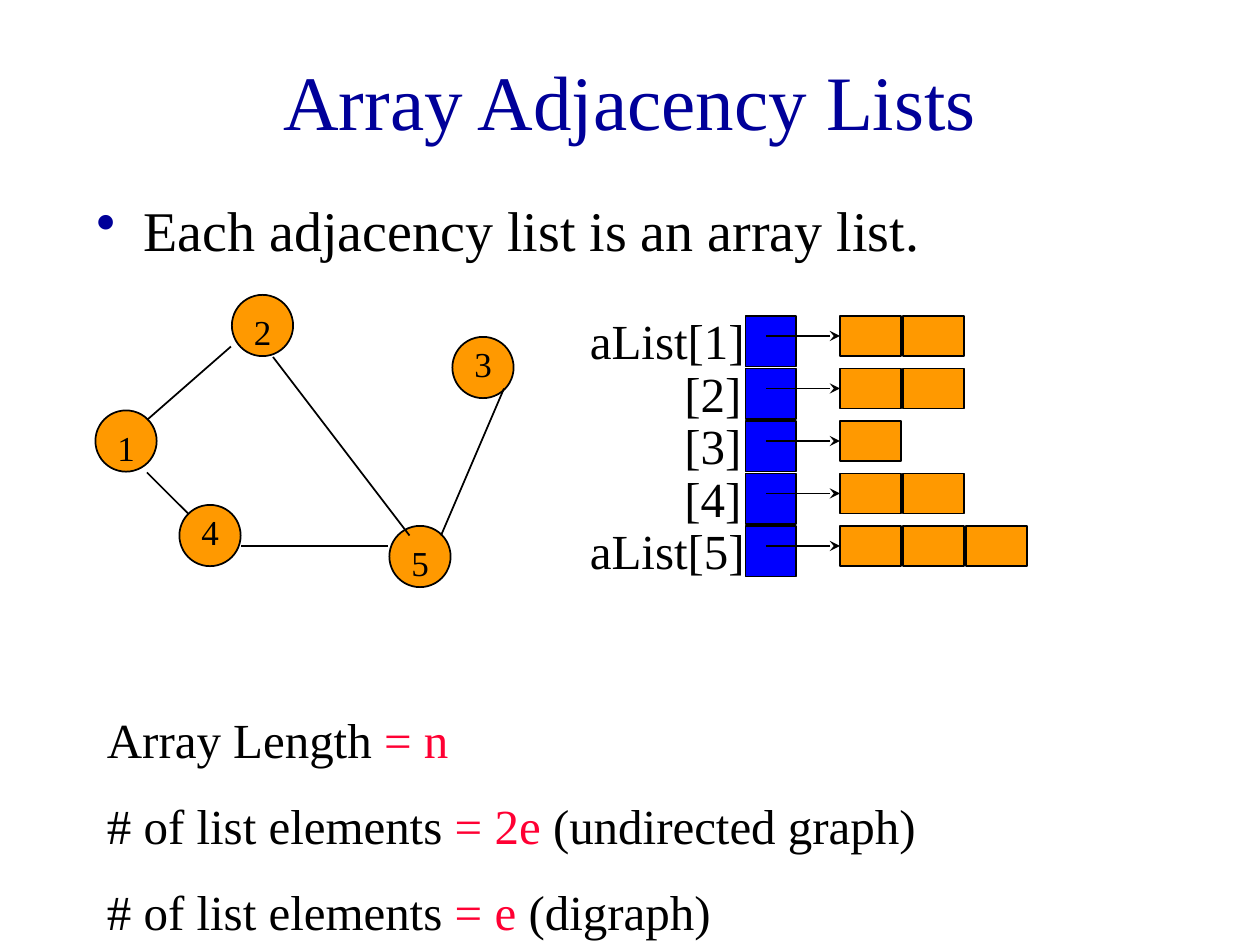
"""Build the slide on array adjacency lists: a graph, its lists and their sizes."""
from dataclasses import dataclass

from lxml import etree
from pptx import Presentation
from pptx import util as u
from pptx.dml.color import RGBColor
from pptx.enum import shapes, text
from pptx.oxml import ns

FONT = "Times New Roman"
BLACK, NAVY, RED = "000000", "000099", "FF0033"
ORANGE, BLUE = "FF9900", "0000FF"
NODE_SIZE, SLOT_SIZE = 35, 29
CELL_WIDTH, CELL_HEIGHT, CELL_PITCH = 35, 23, 36
ROW_TOP, ROW_PITCH = 180.5, 30
SLOT_LEFT, ARROW_LEFT, LIST_LEFT = 426, 438, 480


@dataclass
class Node:
    name: str
    left: float
    top: float
    label_left: float
    label_top: float


@dataclass
class Edge:
    x1: float
    y1: float
    x2: float
    y2: float


@dataclass
class Row:
    label: str
    left: float
    width: float
    cells: int


NODES = [
    Node("1", 54.5, 234.5, 60, 240),
    Node("2", 132.5, 168.5, 138, 174),
    Node("3", 258.5, 192.5, 264, 192),
    Node("4", 102.5, 288.5, 108, 288),
    Node("5", 222.5, 300.5, 228, 306),
]
EDGES = [
    Edge(132, 198, 84, 240),
    Edge(156, 204, 234, 306),
    Edge(84, 270, 108, 294),
    Edge(288, 222, 252, 306),
    Edge(138, 312, 222, 312),
]
ROWS = [
    Row("aList[1]", 330, 108, 2),
    Row("[2]", 384, 48, 2),
    Row("[3]", 384, 48, 1),
    Row("[4]", 384, 48, 2),
    Row("aList[5]", 330, 108, 3),
]
SUMMARY = [
    [("Array Length", BLACK), (" = n", RED)],
    [("# of list elements", BLACK), (" = 2e ", RED), ("(undirected graph)", BLACK)],
    [("# of list elements", BLACK), (" = e ", RED), ("(digraph)", BLACK)],
]


def colour(value: str) -> RGBColor:
    """Turn a hex string into a colour."""
    return RGBColor.from_string(value)


def add_bullet(para, indent: float, bullet_colour: str) -> None:
    """Give a paragraph a coloured bullet with a hanging indent."""
    props = para._p.get_or_add_pPr()
    props.set("marL", str(u.Pt(indent)))
    props.set("indent", str(-u.Pt(indent)))
    tint = etree.SubElement(props, ns.qn("a:buClr"))
    etree.SubElement(tint, ns.qn("a:srgbClr"), val=bullet_colour)
    etree.SubElement(props, ns.qn("a:buChar"), char="•")


def add_text(page, paragraphs, left: float, top: float, width: float, height: float, *,
             size: float, align=text.PP_ALIGN.LEFT, anchor=text.MSO_ANCHOR.TOP,
             gap: float = 0, right_inset: float = 7.2, bullet: str = ""):
    """Add a text box whose paragraphs are lists of (words, colour) spans."""
    box = page.shapes.add_textbox(u.Pt(left), u.Pt(top), u.Pt(width), u.Pt(height))
    frame = box.text_frame
    frame.word_wrap = True
    frame.vertical_anchor = anchor
    frame.margin_right = u.Pt(right_inset)
    for index, spans in enumerate(paragraphs):
        para = frame.add_paragraph() if index else frame.paragraphs[0]
        para.alignment = align
        if index:
            para.space_before = u.Pt(gap)
        if bullet:
            add_bullet(para, 27, bullet)
        for words, span_colour in spans:
            span = para.add_run()
            span.text = words
            span.font.name = FONT
            span.font.size = u.Pt(size)
            span.font.color.rgb = colour(span_colour)
    return box


def add_figure(page, kind, left: float, top: float, width: float, height: float, fill: str):
    """Add a filled shape with a thin black outline."""
    figure = page.shapes.add_shape(kind, u.Pt(left), u.Pt(top), u.Pt(width), u.Pt(height))
    figure.shadow.inherit = False
    figure.fill.solid()
    figure.fill.fore_color.rgb = colour(fill)
    figure.line.color.rgb = colour(BLACK)
    figure.line.width = u.Pt(1)
    return figure


def add_line(page, edge: Edge, target=None):
    """Add a line, or an arrow joined to the left side of a target."""
    line = page.shapes.add_connector(
        shapes.MSO_CONNECTOR.STRAIGHT, u.Pt(edge.x1), u.Pt(edge.y1), u.Pt(edge.x2), u.Pt(edge.y2))
    line.line.color.rgb = colour(BLACK)
    line.line.width = u.Pt(1)
    if target is not None:
        line.end_connect(target, 1)
        etree.SubElement(line.line._get_or_add_ln(), ns.qn("a:tailEnd"), type="stealth")
    etree.SubElement(line._element.spPr, ns.qn("a:effectLst"))
    return line


def draw_graph(page) -> None:
    """Draw the nodes, the edges and the node numbers."""
    for node in NODES:
        add_figure(page, shapes.MSO_SHAPE.OVAL, node.left, node.top, NODE_SIZE, NODE_SIZE, ORANGE)
    for edge in EDGES:
        add_line(page, edge)
    for node in NODES:
        add_text(page, [[(node.name, BLACK)]], node.label_left, node.label_top, 18, 31,
                 size=20, right_inset=0)


def draw_row(page, row: Row, top: float) -> None:
    """Draw one array slot with its label, arrow and list cells."""
    rectangle = shapes.MSO_SHAPE.RECTANGLE
    add_figure(page, rectangle, SLOT_LEFT, top, SLOT_SIZE, SLOT_SIZE, BLUE)
    add_text(page, [[(row.label, BLACK)]], row.left, top - 6.5, row.width, 41, size=28)
    cells = [add_figure(page, rectangle, LIST_LEFT + index * CELL_PITCH, top,
                        CELL_WIDTH, CELL_HEIGHT, ORANGE) for index in range(row.cells)]
    middle = top + CELL_HEIGHT / 2
    add_line(page, Edge(ARROW_LEFT, middle, LIST_LEFT, middle), cells[0])


def main() -> None:
    """Build and save the deck."""
    deck = Presentation()
    deck.slide_width, deck.slide_height = u.Pt(720), u.Pt(540)
    page = deck.slides.add_slide(deck.slide_layouts[6])
    add_text(page, [[("Array Adjacency Lists", NAVY)]], 54, 12, 612, 90, size=44,
             align=text.PP_ALIGN.CENTER, anchor=text.MSO_ANCHOR.MIDDLE)
    add_text(page, [[("Each adjacency list is an array list.", BLACK)]], 48, 108, 612, 42,
             size=32, bullet=NAVY)
    draw_graph(page)
    for index, row in enumerate(ROWS):
        draw_row(page, row, ROW_TOP + index * ROW_PITCH)
    add_text(page, SUMMARY, 54, 402, 660, 138, size=28, gap=15.5)
    deck.save("out.pptx")


if __name__ == "__main__":
    main()
